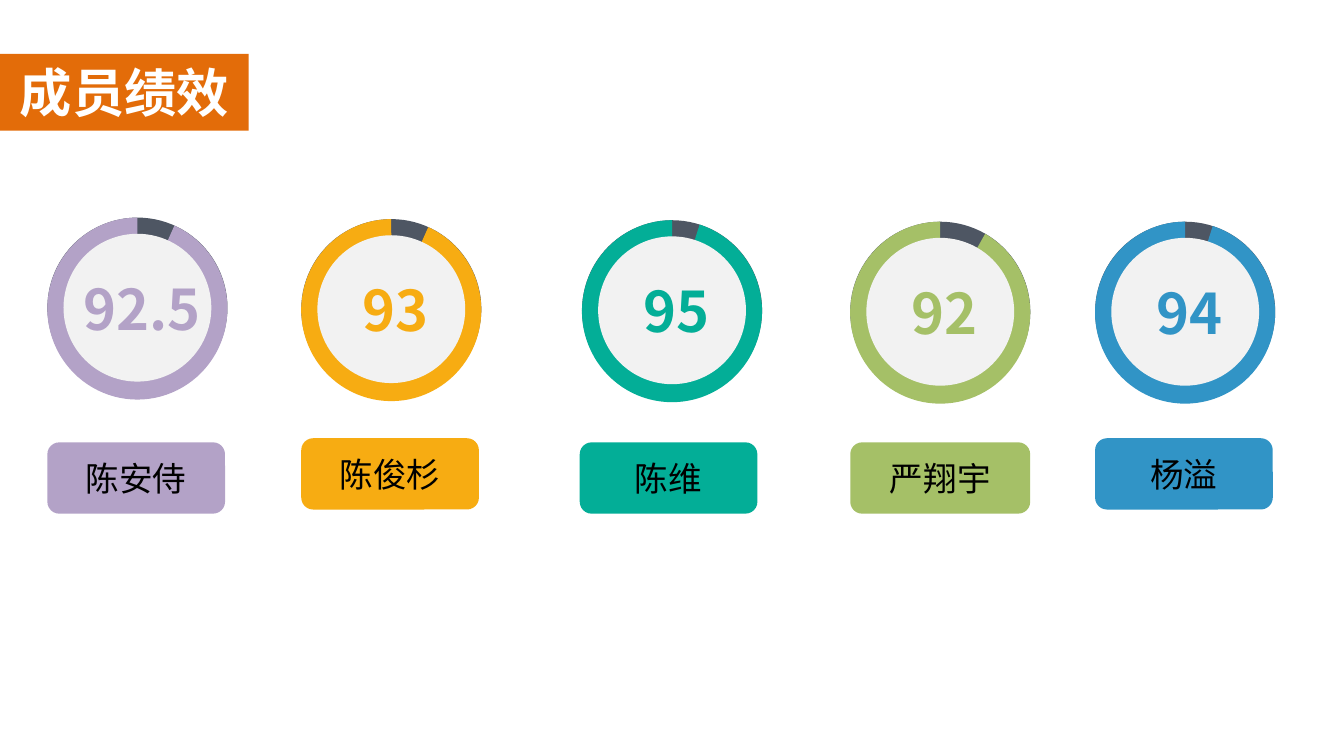
from pptx import Presentation
from pptx import util as u
from pptx.dml import color
from pptx.enum import shapes, text
from pptx.oxml import ns
from lxml import etree

SANS = "Noto Sans CJK SC"
KIND = shapes.MSO_SHAPE
RING, HOLE = 96.5, 79.2
DARK, PALE = "4E5663", "F2F2F2"

# name, score, colour, ring left, ring top, pie start angle, card left, card top, card width
TEAM = [
    ("陈安侍", "92.5", "B3A2C7", 25.4, 116.6, 294.05, 25.4, 237, 95.2),
    ("陈俊杉", "93", "F7AC12", 161.4, 117.4, 294.05, 161.4, 234.8, 95.2),
    ("陈维", "95", "03AE97", 311.8, 118, 287.67, 310.6, 237, 95.2),
    ("严翔宇", "92", "A5C067", 455.5, 118.8, 299.69, 455.5, 237, 96.4),
    ("杨溢", "94", "3194C6", 586.7, 118.8, 287.67, 586.7, 234.8, 95.2),
]


def rgb(code):
    """Turn a hex string into a colour."""
    return color.RGBColor.from_string(code)


def block(slide, kind, box, fill, *adj):
    """Add a flat filled shape without a line."""
    shape = slide.shapes.add_shape(kind, *map(u.Pt, box))
    shape.shadow.inherit = False
    shape.fill.solid()
    shape.fill.fore_color.rgb = rgb(fill)
    shape.line.fill.background()
    for i, value in enumerate(adj):
        shape.adjustments[i] = value
    return shape


def write(shape, words, size, hue, font=SANS, bold=False, pad=(0, 0), gap=0,
          anchor=text.MSO_ANCHOR.MIDDLE):
    """Put one centred line of text into a shape."""
    frame = shape.text_frame
    frame.word_wrap = True
    frame.vertical_anchor = anchor
    frame.margin_left = frame.margin_right = u.Pt(pad[0])
    frame.margin_top = frame.margin_bottom = u.Pt(pad[1])
    para = frame.paragraphs[0]
    para.alignment = text.PP_ALIGN.CENTER
    para.space_before = u.Pt(gap)
    run = para.add_run()
    run.text = words
    run.font.size = u.Pt(size)
    run.font.bold = bold
    run.font.name = font
    run.font.color.rgb = rgb(hue)
    east = etree.SubElement(run.font._element, ns.qn("a:ea"))
    east.set("typeface", font)


def label(slide, box, *args, **opts):
    """Add a text box with one line of text."""
    write(slide.shapes.add_textbox(*map(u.Pt, box)), *args, **opts)


def title(slide, words):
    """Add the heading on its orange band."""
    box = (0, 28.8, 133.2, 41.2)
    block(slide, KIND.RECTANGLE, box, "E36C09")
    label(slide, box, words, 28, "FFFFFF", font="Calibri", bold=True,
          pad=(7.2, 3.6), anchor=text.MSO_ANCHOR.TOP)


def gauge(slide, score, hue, left, top, angle):
    """Add a score ring with its number; pie angles count 0.6 a degree."""
    inset = (RING - HOLE) / 2
    block(slide, KIND.OVAL, (left, top, RING, RING), DARK)
    block(slide, KIND.PIE, (left, top, RING, RING + 1), hue,
          angle * 0.6, 270 * 0.6)
    block(slide, KIND.OVAL, (left + inset, top + inset, HOLE, HOLE), PALE)
    label(slide, (left + 5.6, top + 30.3, 90, 36), score, 30, hue,
          bold=True, gap=3)


def card(slide, name, hue, left, top, width):
    """Add a rounded name card."""
    shape = block(slide, KIND.ROUNDED_RECTANGLE, (left, top, width, 38.2),
                  hue, 0.167)
    write(shape, name, 18, "000000")


def main():
    """Build the slide and save it."""
    deck = Presentation()
    deck.slide_width, deck.slide_height = u.Pt(720), u.Pt(405)
    slide = deck.slides.add_slide(deck.slide_layouts[6])
    title(slide, "成员绩效")
    for name, score, hue, left, top, angle, *place in TEAM:
        gauge(slide, score, hue, left, top, angle)
        card(slide, name, hue, *place)
    deck.save("out.pptx")


if __name__ == "__main__":
    main()
